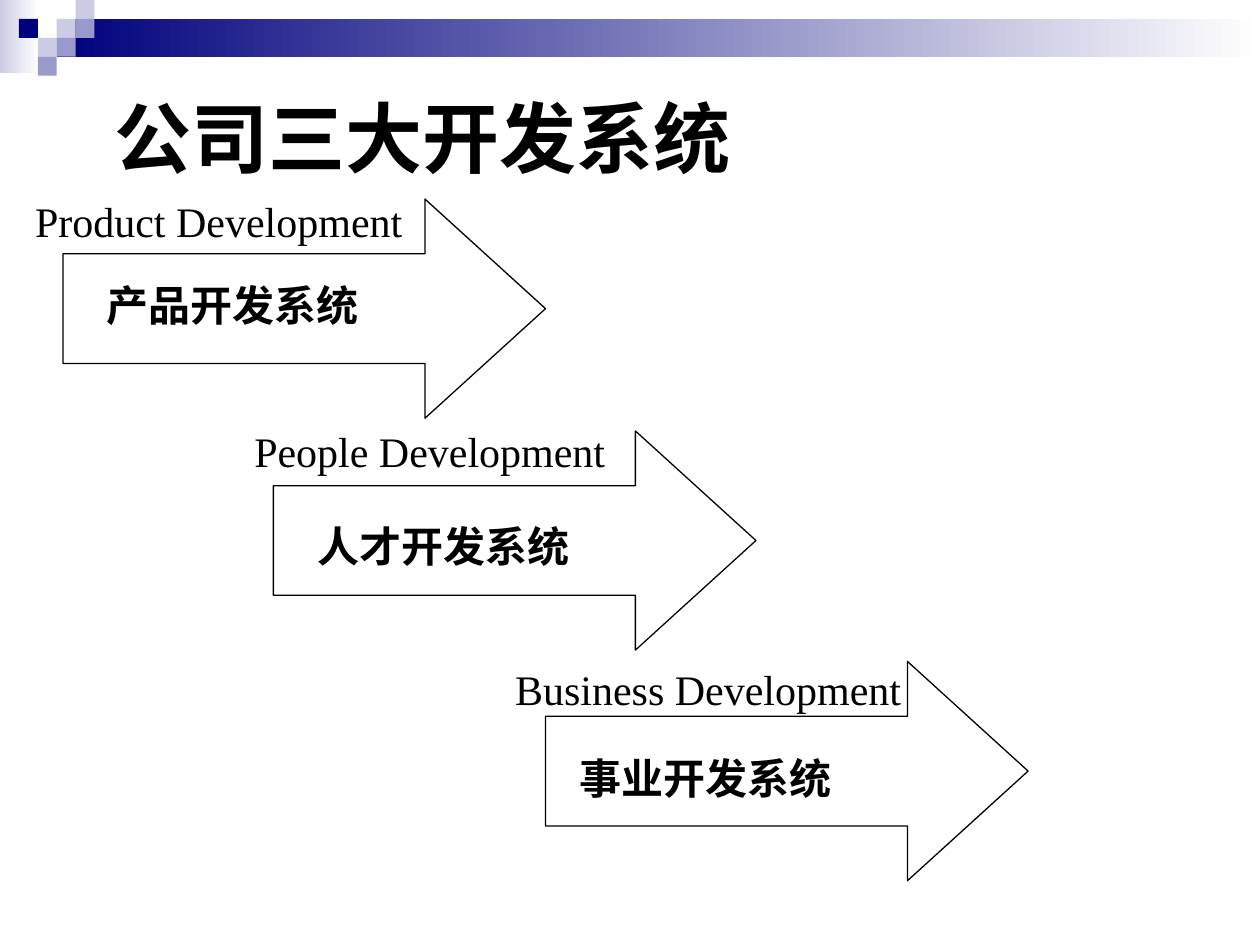
from dataclasses import dataclass

from pptx import Presentation
from pptx.dml.color import RGBColor
from pptx.enum import shapes, text
from pptx.util import Inches, Pt


@dataclass(frozen=True)
class Theme:
    navy: RGBColor = RGBColor.from_string("00007D")
    violet: RGBColor = RGBColor.from_string("9999CC")
    lilac: RGBColor = RGBColor.from_string("CCCCE6")
    white: RGBColor = RGBColor.from_string("FFFFFF")
    ink: RGBColor = RGBColor.from_string("000000")
    title_size: Pt = Pt(44)
    label_size: Pt = Pt(24)
    title_font: str = "Arial"
    label_font: str = "Times New Roman"


theme = Theme()


def write(tf, content, *, size, font, bold=False, anchor=text.MSO_ANCHOR.TOP):
    tf.word_wrap = True
    tf.auto_size = text.MSO_AUTO_SIZE.NONE
    tf.vertical_anchor = anchor
    p = tf.paragraphs[0]
    p.alignment = text.PP_ALIGN.LEFT
    r = p.add_run()
    r.text = content
    r.font.size = size
    r.font.name = font
    r.font.bold = bold
    r.font.color.rgb = theme.ink


def add_block(s, left, top, width, height, kind=shapes.MSO_SHAPE.RECTANGLE):
    sp = s.shapes.add_shape(kind, Inches(left), Inches(top), Inches(width), Inches(height))
    sp.shadow.inherit = False
    sp.fill.background()
    sp.line.fill.background()
    return sp


prs = Presentation()
prs.slide_width = Inches(10)
prs.slide_height = Inches(7.5)
s = prs.slides.add_slide(prs.slide_layouts[5])

bands = [
    (0, 0, 0.31, 0.58, theme.lilac, theme.white, 180),
    (0.45, 0.15, 9.55, 0.3, theme.navy, theme.white, 0),
]
for left, top, width, height, start, end, angle in bands:
    if angle == 180:
        start, end = end, start
    sp = add_block(s, left, top, width, height)
    sp.fill.gradient()
    sp.fill.gradient_angle = 0
    stops = sp.fill.gradient_stops
    stops[0].color.rgb, stops[1].color.rgb = (end, start) if angle == 180 else (start, end)

cell = 0.15
squares = [
    (3, 1, theme.lilac),
    (4, 0, theme.lilac),
    (4, 1, theme.violet),
    (2, 2, theme.lilac),
    (1, 1, theme.navy),
    (3, 2, theme.violet),
    (2, 3, theme.violet),
]
for column, row, color in squares:
    sp = add_block(s, column * cell, row * cell, cell, cell)
    sp.fill.solid()
    sp.fill.fore_color.rgb = color

title = s.shapes.title
title.left, title.top = Inches(0.81), Inches(0.59)
title.width, title.height = Inches(8.39), Inches(0.99)
write(title.text_frame, "公司三大开发系统", size=theme.title_size, font=theme.title_font,
      bold=True, anchor=text.MSO_ANCHOR.MIDDLE)

systems = [
    ((0.5, 1.58), ("产品开发系统", 0.75, 2.17), ("Product Development", 0.18, 1.5)),
    ((2.17, 3.42), ("人才开发系统", 2.42, 4.08), ("People Development", 1.92, 3.33)),
    ((4.33, 5.25), ("事业开发系统", 4.5, 5.92), ("Business Development", 3.99, 5.22)),
]
for (left, top), chinese, english in systems:
    arrow = add_block(s, left, top, 3.83, 1.74, shapes.MSO_SHAPE.RIGHT_ARROW)
    arrow.adjustments[0] = 0.5
    arrow.adjustments[1] = 0.55
    arrow.line.color.rgb = theme.ink
    arrow.line.width = Pt(0.75)
    for (label, x, y), width, bold in ((chinese, 2.83, True), (english, 3.83, False)):
        box = s.shapes.add_textbox(Inches(x), Inches(y), Inches(width), Inches(0.5))
        write(box.text_frame, label, size=theme.label_size, font=theme.label_font, bold=bold)

prs.save("out.pptx")
